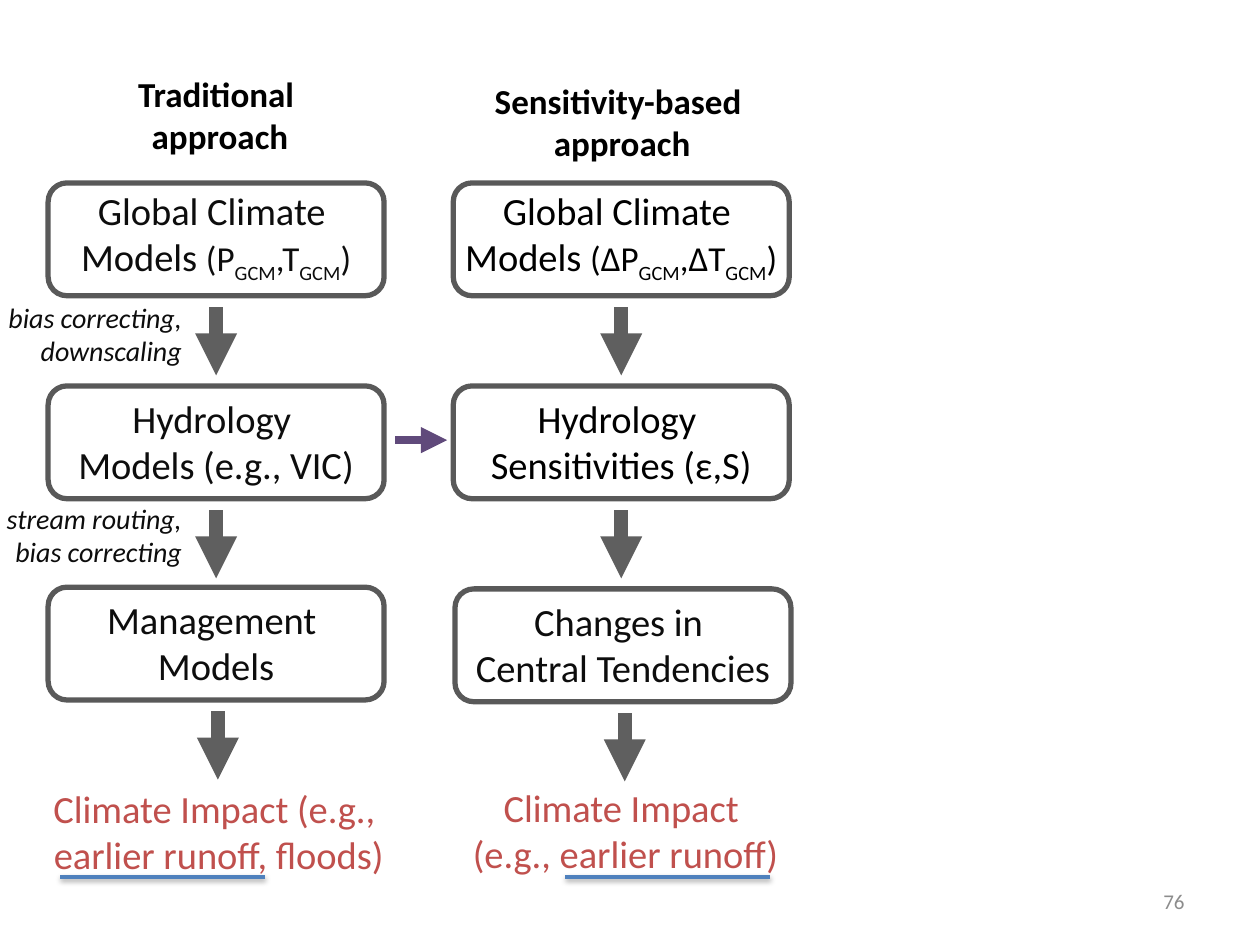
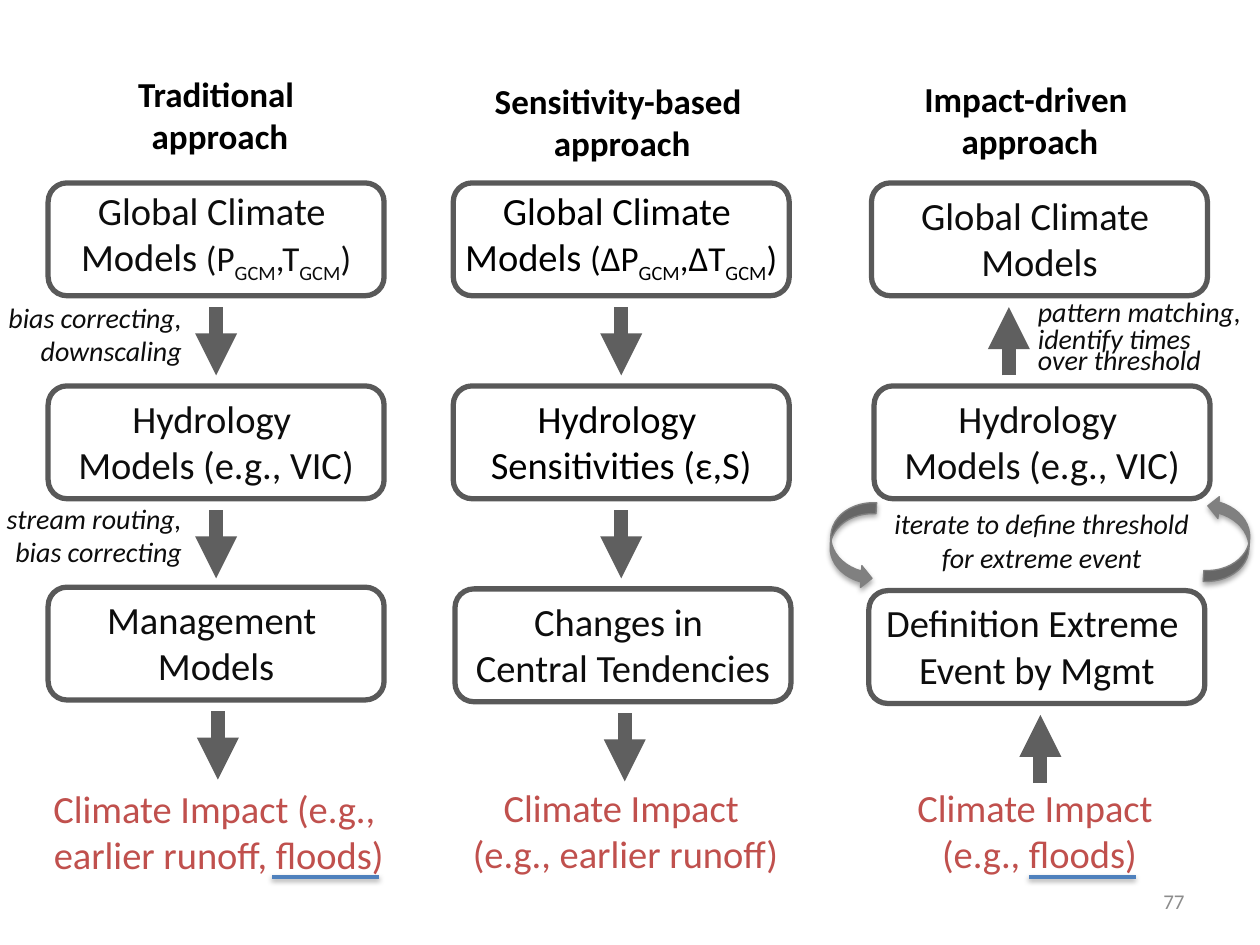
from dataclasses import dataclass

from lxml.etree import SubElement
from pptx import Presentation
from pptx.dml.color import RGBColor
from pptx.enum.shapes import MSO_CONNECTOR as Link, MSO_SHAPE as Preset
from pptx.enum.text import MSO_ANCHOR as Anchor, PP_ALIGN as Align
from pptx.oxml.ns import qn
from pptx.util import Pt


@dataclass(frozen=True)
class Theme:
    font: str = "Calibri"
    black: str = "000000"
    ink: str = "0D0D0D"
    border: str = "595959"
    flow: str = "5F5F5F"
    transfer: str = "604A7B"
    impact: str = "C0504D"
    underline: str = "4F81BD"
    loop: str = "808080"
    number: str = "8C8C8C"
    heading_size: float = 20
    stage_size: float = 22
    variable_size: float = 20
    note_size: float = 16
    number_size: float = 12


THEME = Theme()
BOX_W, BOX_H, IMPACT_H = 192, 64.5, 49
ROW_TOPS = (0, 116, 231, 346)
ARROW_OFFSET, ARROW_LENGTH = 71, 39
COLUMN_TOP = 104.5
UNDERLINE_Y = 501


@dataclass(frozen=True)
class Part:
    text: str
    size: float = None
    subscript: bool = False


@dataclass(frozen=True)
class Stage:
    lines: tuple
    dx: float = 0
    dy: float = 0
    arrow_dx: float = 0
    has_arrow: bool = True
    color: str = THEME.ink


@dataclass(frozen=True)
class Approach:
    left: float
    heading: tuple
    heading_dx: float
    heading_dy: float
    stages: tuple
    impact: tuple
    impact_dx: float
    impact_dy: float = 0
    upward: bool = False


def models_line(prefix):
    size = THEME.variable_size
    subscript = Part("GCM", size, True)
    return (Part("Models "), Part(f"({prefix}P", size), subscript,
            Part(f",{prefix}T", size), subscript, Part(")", size))


CLIMATE = "Global Climate "
HYDROLOGY = ("Hydrology ", "Models (e.g., VIC)")

TRADITIONAL = Approach(
    27.5, ("Traditional", " approach"), 0, -66.5,
    (Stage((CLIMATE, models_line(""))),
     Stage(HYDROLOGY),
     Stage(("Management ", "Models"), arrow_dx=1)),
    ("Climate Impact (e.g., ", "earlier runoff, floods)"), 1.5)

SENSITIVITY = Approach(
    259, ("Sensitivity-based ", "approach"), 0.5, -62.5,
    (Stage((CLIMATE, models_line("Δ")), color=THEME.black),
     Stage(("Hydrology ", "Sensitivities (ε,S)"), color=THEME.black),
     Stage(("Changes in ", "Central Tendencies"), 1, 1, 1)),
    ("Climate Impact ", "(e.g., earlier runoff)"), 2.5, -0.5)

IMPACT_DRIVEN = Approach(
    498, ("Impact-driven ", "approach"), -5.5, -64,
    (Stage((CLIMATE, "Models"), arrow_dx=-17.5),
     Stage(HYDROLOGY, 1.5, has_arrow=False),
     Stage(("Definition Extreme ", "Event by Mgmt"), -1.5, 2, 2)),
    ("Climate Impact ", "(e.g., floods)"), 0, -0.5, True)


def write(frame, lines, size, color, align=Align.CENTER, anchor=Anchor.TOP,
          wrap=True, bold=False, italic=False, gap=0):
    frame.word_wrap = wrap
    frame.vertical_anchor = anchor
    for index, line in enumerate(lines):
        paragraph = frame.paragraphs[0] if index == 0 else frame.add_paragraph()
        paragraph.alignment = align
        if index and gap:
            paragraph.space_before = Pt(gap)
        for part in (Part(line),) if isinstance(line, str) else line:
            run = paragraph.add_run()
            run.text = part.text
            run.font.name = THEME.font
            run.font.size = Pt(part.size or size)
            run.font.color.rgb = RGBColor.from_string(color)
            run.font.bold = bold
            run.font.italic = italic
            if part.subscript:
                run._r.get_or_add_rPr().set("baseline", "-25000")


def add_text(slide, left, top, width, height, lines, size, color, **style):
    label = slide.shapes.add_textbox(Pt(left), Pt(top), Pt(width), Pt(height))
    write(label.text_frame, lines, size, color, **style)


def add_note(slide, left, top, width, height, lines, align, **style):
    add_text(slide, left, top, width, height, lines, THEME.note_size, THEME.ink,
             align=align, italic=True, **style)


def drop_shadow(effects, opacity):
    shadow = SubElement(effects, qn("a:outerShdw"), blurRad=str(Pt(3.1)),
                        dist=str(Pt(1.6)), dir="5400000", rotWithShape="0")
    tint = SubElement(shadow, qn("a:srgbClr"), val=THEME.black)
    SubElement(tint, qn("a:alpha"), val=str(opacity * 1000))


def add_line(slide, x1, y1, x2, y2, color, weight, arrow=False, shadow=False):
    line = slide.shapes.add_connector(Link.STRAIGHT, Pt(x1), Pt(y1), Pt(x2), Pt(y2))
    line.line.color.rgb = RGBColor.from_string(color)
    line.line.width = Pt(weight)
    if arrow:
        SubElement(line.line._get_or_add_ln(), qn("a:tailEnd"), type="triangle")
    effects = SubElement(line._element.spPr, qn("a:effectLst"))
    if shadow:
        drop_shadow(effects, 38)


def add_stage_box(slide, left, top, height, lines, color, anchor, border=None):
    box = slide.shapes.add_shape(Preset.ROUNDED_RECTANGLE,
                                 Pt(left), Pt(top), Pt(BOX_W), Pt(height))
    box.shadow.inherit = False
    box.fill.background()
    if border:
        box.line.color.rgb = RGBColor.from_string(border)
        box.line.width = Pt(3)
    else:
        box.line.fill.background()
    write(box.text_frame, lines, THEME.stage_size, color, anchor=anchor, wrap=False)


def add_approach(slide, approach, top=COLUMN_TOP):
    left = approach.left
    add_text(slide, left - 24 + approach.heading_dx, top + approach.heading_dy,
             BOX_W + 48, 55.5, approach.heading, THEME.heading_size, THEME.black,
             bold=True)
    for row, stage in zip(ROW_TOPS, approach.stages):
        x, y = left + stage.dx, top + row + stage.dy
        add_stage_box(slide, x, y, BOX_H, stage.lines, stage.color,
                      Anchor.BOTTOM, THEME.border)
        if stage.has_arrow:
            center = x + BOX_W / 2 + stage.arrow_dx
            ends = [y + ARROW_OFFSET, y + ARROW_OFFSET + ARROW_LENGTH]
            start, end = reversed(ends) if approach.upward else ends
            add_line(slide, center, start, center, end, THEME.flow, 8, arrow=True)
    add_stage_box(slide, left + approach.impact_dx,
                  top + ROW_TOPS[-1] + approach.impact_dy, IMPACT_H,
                  approach.impact, THEME.impact, Anchor.MIDDLE)


def add_traditional_notes(slide, left=TRADITIONAL.left, top=COLUMN_TOP):
    notes = ((63.5, ("bias correcting,", " downscaling")),
             (178.5, ("stream routing,", " bias correcting")))
    for offset, lines in notes:
        add_note(slide, left - 71.5, top + offset, 155, 47.5, lines, Align.RIGHT)


def add_impact_driven_notes(slide, left=IMPACT_DRIVEN.left, top=COLUMN_TOP):
    add_note(slide, left + 88, top + 60.5, 139.5, 62,
             ("pattern matching,", "over threshold"), Align.LEFT, wrap=False, gap=8)
    add_note(slide, left + 88, top + 75.5, 107, 26.5,
             ("identify times",), Align.LEFT, wrap=False)
    add_note(slide, left + 4, top + 181.5, 186.5, 46,
             ("iterate to define threshold for extreme event",), Align.CENTER)
    for dx, dy, turn in ((191, 179, 183.5), (-23.5, 182, 3.5)):
        loop = slide.shapes.add_shape(Preset.CURVED_RIGHT_ARROW, Pt(left + dx),
                                      Pt(top + dy), Pt(25), Pt(49.5))
        loop.rotation = turn
        loop.fill.solid()
        loop.fill.fore_color.rgb = RGBColor.from_string(THEME.loop)
        loop.line.color.rgb = RGBColor.from_string(THEME.loop)
        loop.line.width = Pt(0.75)
        loop.shadow.inherit = False
        drop_shadow(loop._element.spPr.find(qn("a:effectLst")), 35)


def add_transfer_arrow(slide, left=TRADITIONAL.left, top=COLUMN_TOP):
    y = top + 147
    add_line(slide, left + 198.5, y, left + 228, y, THEME.transfer, 5, arrow=True)


def add_underlines(slide, starts, length):
    for start in starts:
        add_line(slide, start, UNDERLINE_Y, start + length, UNDERLINE_Y,
                 THEME.underline, 2, shadow=True)


def add_slide(deck, approaches, number):
    slide = deck.slides.add_slide(deck.slide_layouts[6])
    for approach in approaches:
        add_approach(slide, approach)
    add_traditional_notes(slide)
    add_text(slide, 516, 500.5, 168, 29, (number,), THEME.number_size,
             THEME.number, align=Align.RIGHT, anchor=Anchor.MIDDLE)
    return slide


def main():
    deck = Presentation()
    deck.slide_width, deck.slide_height = Pt(720), Pt(540)

    two_approaches = add_slide(deck, (TRADITIONAL, SENSITIVITY), "76")
    add_transfer_arrow(two_approaches)
    add_underlines(two_approaches, (34.5, 323), 117)

    three_approaches = add_slide(deck, (TRADITIONAL, SENSITIVITY, IMPACT_DRIVEN), "77")
    add_impact_driven_notes(three_approaches)
    add_underlines(three_approaches, (155.5, 588), 61)

    deck.save("out.pptx")


if __name__ == "__main__":
    main()
